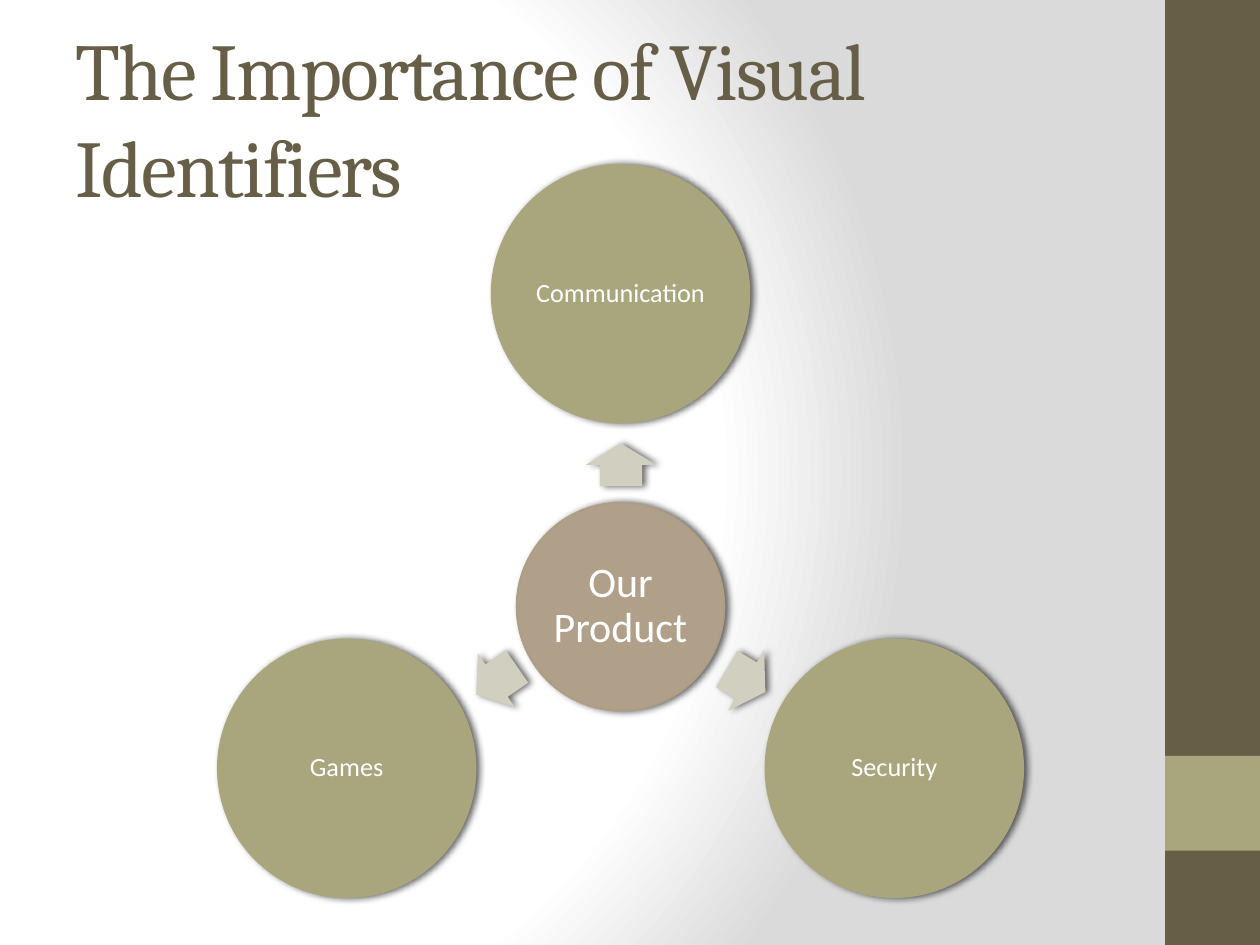
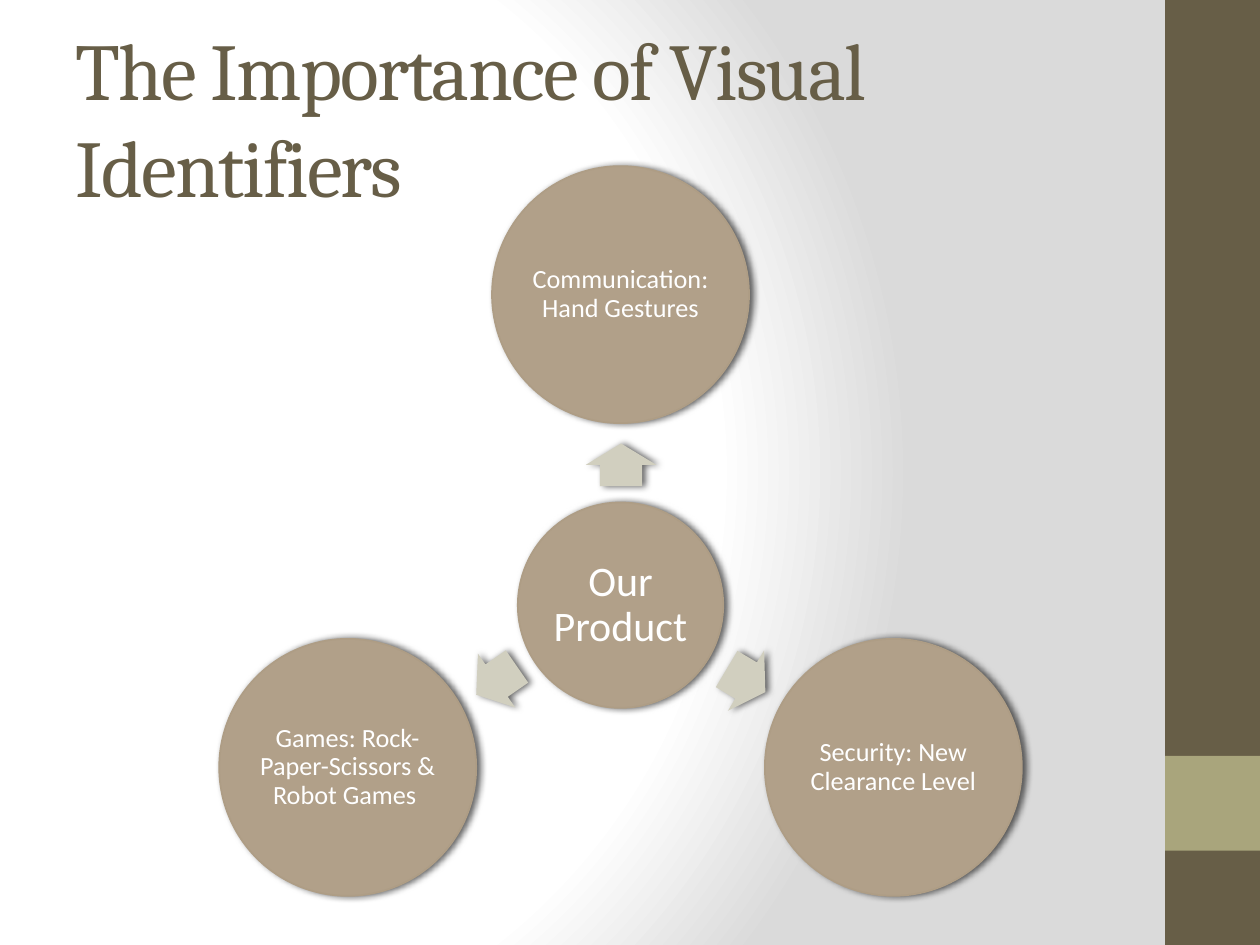
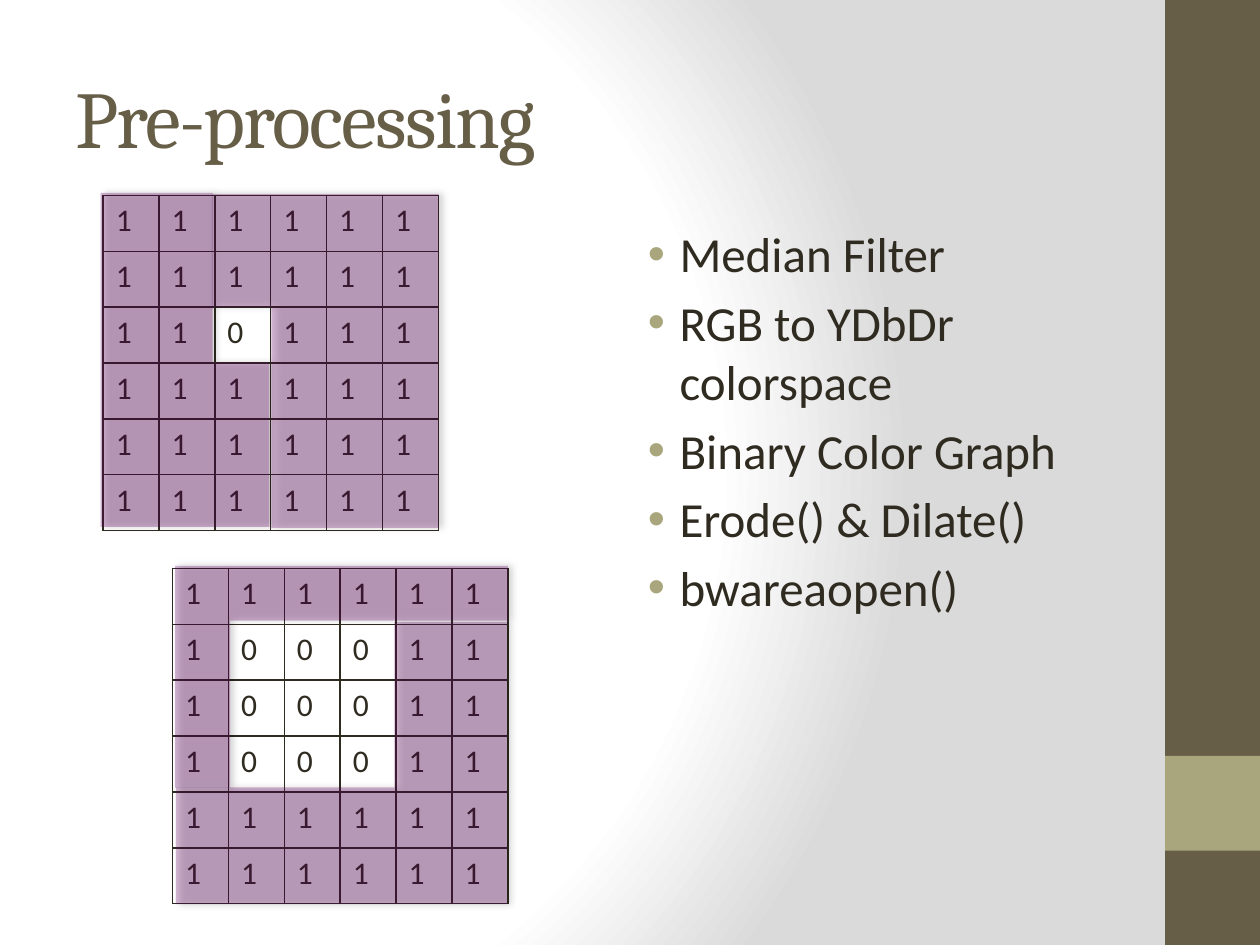
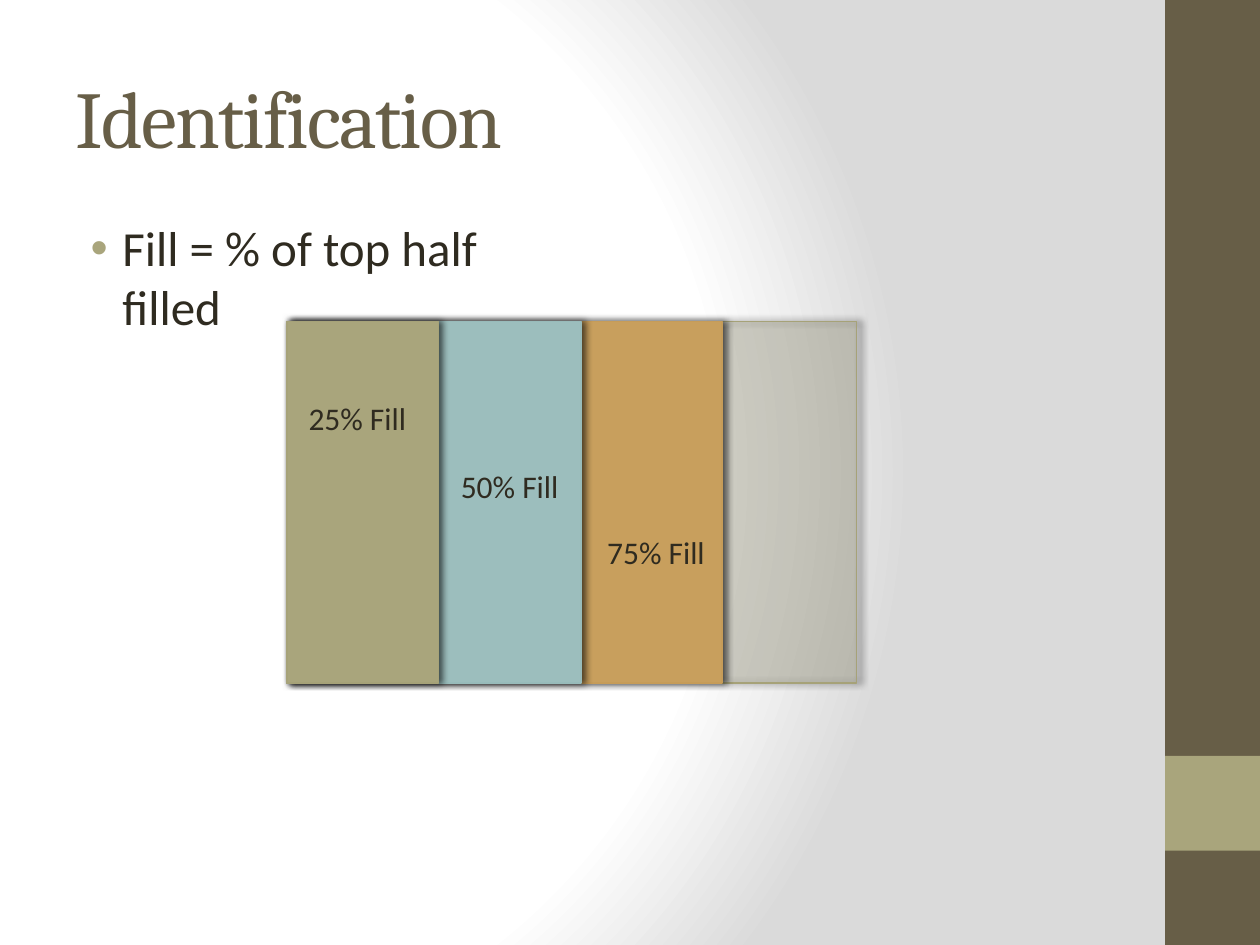
from lxml.etree import SubElement
from pptx import Presentation
from pptx.dml.color import RGBColor
from pptx.enum.shapes import MSO_SHAPE
from pptx.enum.text import MSO_ANCHOR, MSO_AUTO_SIZE, PP_ALIGN
from pptx.oxml.ns import qn
from pptx.util import Cm, Pt

SLIDE_W, SLIDE_H = 25.4, 19.05
BAND_W = 1.91
MARGIN = 1.27
OLIVE, SAGE, TAUPE, STONE = "675E47", "A9A57C", "B1A089", "D1CFBF"
TAUPE_EDGE, SAGE_EDGE = "AE9D85", "A6A278"
INK, WHITE, GREY, PURPLE = "2F2B20", "FFFFFF", "DADADA", "660066"

TITLE = dict(name="Cambria", size=Pt(46), color=OLIVE)
BODY = dict(name="Calibri", size=Pt(28), color=INK)
LABEL = dict(name="Calibri", size=Pt(18), color=INK)
HUB = dict(name="Calibri", size=Pt(24), color=WHITE)
SATELLITE = dict(name="Calibri", size=Pt(15), color=WHITE)

GRID_SIZE = 6
GRID_SIDE = 6.76


def rgb(hex_code):
    return RGBColor.from_string(hex_code)


def apply(target, values):
    """Set each named attribute; a colour is given as a hex string."""
    for name, value in values.items():
        if name == "color":
            target.color.rgb = rgb(value)
        else:
            setattr(target, name, value)


def box(left, top, width, height):
    return Cm(left), Cm(top), Cm(width), Cm(height)


def add_child(parent, tag, **attributes):
    return SubElement(parent, qn(tag), attributes)


def add_color(parent, hex_code, opacity=100):
    color = add_child(parent, "a:srgbClr", val=hex_code)
    if opacity < 100:
        add_child(color, "a:alpha", val=str(opacity * 1000))


def set_background(master):
    """Give all slides a round white glow that fades to grey at the right."""
    fill = master.background.fill
    fill.gradient()
    gradient = master.element.find(".//" + qn("a:gradFill"))
    for child in list(gradient):
        gradient.remove(child)
    stops = add_child(gradient, "a:gsLst")
    for percent, hex_code in ((0, WHITE), (75, WHITE), (100, GREY)):
        add_color(add_child(stops, "a:gs", pos=str(percent * 1000)), hex_code)
    glow = add_child(gradient, "a:path", path="circle")
    add_child(glow, "a:fillToRect", l="20000", t="50000", r="100000", b="50000")


def add_figure(slide, kind, frame, fill, edge=None, opacity=100,
               shadow=True, rotation=0, adjustments=()):
    figure = slide.shapes.add_shape(kind, *box(*frame))
    figure.rotation = rotation
    for index, value in enumerate(adjustments):
        figure.adjustments[index] = value
    figure.fill.solid()
    figure.fill.fore_color.rgb = rgb(fill)
    properties = figure._element.spPr
    if opacity < 100:
        color = properties.find(".//" + qn("a:srgbClr"))
        add_child(color, "a:alpha", val=str(opacity * 1000))
    if edge:
        apply(figure.line, dict(color=edge, width=Pt(1)))
    else:
        figure.line.fill.background()
    figure.shadow.inherit = False
    if shadow:
        effect = add_child(properties.find(qn("a:effectLst")), "a:outerShdw",
                           blurRad=str(Pt(4)), dist=str(Pt(2)), dir="0",
                           rotWithShape="0")
        add_color(effect, "000000", 60)
    return figure


def write(paragraph, words, font):
    run = paragraph.add_run()
    run.text = words
    apply(run.font, font)
    return run


def add_text_frame(slide, frame, **layout):
    text = slide.shapes.add_textbox(*box(*frame)).text_frame
    apply(text, dict(word_wrap=True, **layout))
    return text


def add_page(deck, title):
    """Start a slide with the side bands and its title."""
    slide = deck.slides.add_slide(deck.slide_layouts[6])
    band_left = SLIDE_W - BAND_W
    for top, height, color in ((0, SLIDE_H, OLIVE), (15.24, BAND_W, SAGE)):
        add_figure(slide, MSO_SHAPE.RECTANGLE, (band_left, top, BAND_W, height),
                   color, shadow=False)
    text = add_text_frame(slide, (MARGIN, 0.76, 21.16, 3.18),
                          vertical_anchor=MSO_ANCHOR.MIDDLE)
    run = write(text.paragraphs[0], title, TITLE)
    run.font._element.set("spc", "-100")
    return slide


def add_bullets(slide, left, top, items):
    text = add_text_frame(slide, (left, top, 10.16, 12.75))
    for index, item in enumerate(items):
        paragraph = text.add_paragraph() if index else text.paragraphs[0]
        paragraph.space_before = Pt(5.6)
        properties = paragraph._p.get_or_add_pPr()
        properties.set("marL", str(Cm(0.95)))
        properties.set("indent", str(Cm(-0.64)))
        add_color(add_child(properties, "a:buClr"), SAGE)
        add_child(properties, "a:buFont", typeface="Arial")
        add_child(properties, "a:buChar", char="•")
        write(paragraph, item, BODY)


def add_circle(slide, center, diameter, words, font, inset, fill, edge):
    x, y = center
    frame = (x - diameter / 2, y - diameter / 2, diameter, diameter)
    circle = add_figure(slide, MSO_SHAPE.OVAL, frame, fill, edge)
    text = circle.text_frame
    margins = {f"margin_{side}": Cm(inset)
               for side in ("left", "top", "right", "bottom")}
    apply(text, dict(word_wrap=True, vertical_anchor=MSO_ANCHOR.MIDDLE, **margins))
    apply(text.paragraphs[0], dict(alignment=PP_ALIGN.CENTER, line_spacing=0.9))
    write(text.paragraphs[0], words, font)


def add_hub_diagram(slide, hub_y, hub_size, satellite_size, reach, labels,
                    fill, edge):
    """Draw the product with arrows to the satellites above, right and left."""
    hub_x = 12.51
    up, across, down = reach
    centers = ((hub_x, hub_y - up), (hub_x + across, hub_y + down),
               (hub_x - across, hub_y + down))
    arrows = ((12.52, 9.37, 0.86, 1.42, 270), (15.04, 13.72, 0.91, 1.42, 30.9),
              (10.01, 13.72, 1, 1.32, 145.3))
    add_circle(slide, (hub_x, hub_y), hub_size, "Our Product", HUB, 0.08,
               TAUPE, TAUPE_EDGE)
    for center, label, (x, y, length, breadth, angle) in zip(centers, labels, arrows):
        add_figure(slide, MSO_SHAPE.RIGHT_ARROW,
                   (x - length / 2, y - breadth / 2, length, breadth), STONE,
                   rotation=angle, adjustments=(0.6, 0.5))
        add_circle(slide, center, satellite_size, label, SATELLITE, 0.05, fill, edge)


def add_cell_borders(cell):
    properties = cell._tc.get_or_add_tcPr()
    for position, side in enumerate(("a:lnL", "a:lnR", "a:lnT", "a:lnB")):
        line = properties.makeelement(qn(side), {"w": str(Pt(1))})
        add_color(add_child(line, "a:solidFill"), INK)
        properties.insert(position, line)


def add_pixel_grid(slide, left, top, hole_rows, hole_columns):
    """Draw a square of ones with zeros where the hole is."""
    grid = slide.shapes.add_table(GRID_SIZE, GRID_SIZE,
                                  *box(left, top, GRID_SIDE, GRID_SIDE)).table
    apply(grid, dict(first_row=False, horz_banding=False))
    for index in range(GRID_SIZE):
        grid.columns[index].width = Cm(GRID_SIDE / GRID_SIZE)
        grid.rows[index].height = Cm(GRID_SIDE / GRID_SIZE)
    for row in range(GRID_SIZE):
        for column in range(GRID_SIZE):
            cell = grid.cell(row, column)
            in_hole = row in hole_rows and column in hole_columns
            cell.fill.background()
            add_cell_borders(cell)
            write(cell.text_frame.paragraphs[0], "0" if in_hole else "1", LABEL)


def add_mask(slide, frame, rotation, adjustments, opacity):
    add_figure(slide, MSO_SHAPE.CORNER, frame, PURPLE, opacity=opacity,
               rotation=rotation, adjustments=adjustments)


def build_preprocessing(deck):
    slide = add_page(deck, "Pre-processing")
    add_pixel_grid(slide, 2.08, 3.94, (2,), (2,))
    add_pixel_grid(slide, 3.48, 11.46, range(1, 4), range(1, 4))
    add_bullets(slide, 12.5, 4.39, (
        "Median Filter", "RGB to YDbDr colorspace", "Binary Color Graph",
        "Erode() & Dilate()", "bwareaopen()"))
    add_mask(slide, (2.03, 3.89, 3.4, 6.73), 0, (0.974, 0.664), 29)
    add_mask(slide, (4.27, 3.91, 4.57, 6.73), 180, (0.5, 0.737), 28)
    add_mask(slide, (4.04, 12.04, 5.69, 6.68), 270, (0.4, 0.414), 28)
    add_mask(slide, (4.65, 10.29, 4.47, 6.71), 90, (0.248, 0.247), 29)


def build_identification(deck):
    slide = add_page(deck, "Identification")
    strips = ((11.48, SAGE, SAGE_EDGE, 24), (8.76, "C89F5D", "C69C58", 100),
              (5.92, "9CBEBD", "98BBBA", 100), (3.05, SAGE, SAGE_EDGE, 100))
    for width, fill, edge, opacity in strips:
        add_figure(slide, MSO_SHAPE.RECTANGLE, (5.79, 6.48, width, 7.29),
                   fill, edge, opacity)
    for left, top, words in ((9.04, 9.3, "50% Fill"), (11.99, 10.62, "75% Fill"),
                             (5.97, 7.92, "25% Fill")):
        text = add_text_frame(slide, (left, top, 2.87, 1.02),
                              auto_size=MSO_AUTO_SIZE.SHAPE_TO_FIT_TEXT)
        write(text.paragraphs[0], words, LABEL)
    add_bullets(slide, MARGIN, 4.27, ("Fill = % of top half filled",))


def main():
    deck = Presentation()
    apply(deck, dict(slide_width=Cm(SLIDE_W), slide_height=Cm(SLIDE_H)))
    set_background(deck.slide_master)

    importance = "The Importance of Visual Identifiers"
    add_hub_diagram(add_page(deck, importance), 12.23, 4.19, 5.23,
                    (6.31, 5.52, 3.26), ("Communication", "Security", "Games"),
                    SAGE, None)
    add_hub_diagram(add_page(deck, importance), 12.2, 4.14, 5.18,
                    (6.26, 5.5, 3.27),
                    ("Communication: Hand Gestures", "Security: New Clearance Level",
                     "Games: Rock-Paper-Scissors & Robot Games "),
                    TAUPE, TAUPE_EDGE)
    build_preprocessing(deck)
    build_identification(deck)
    deck.save("out.pptx")


if __name__ == "__main__":
    main()
